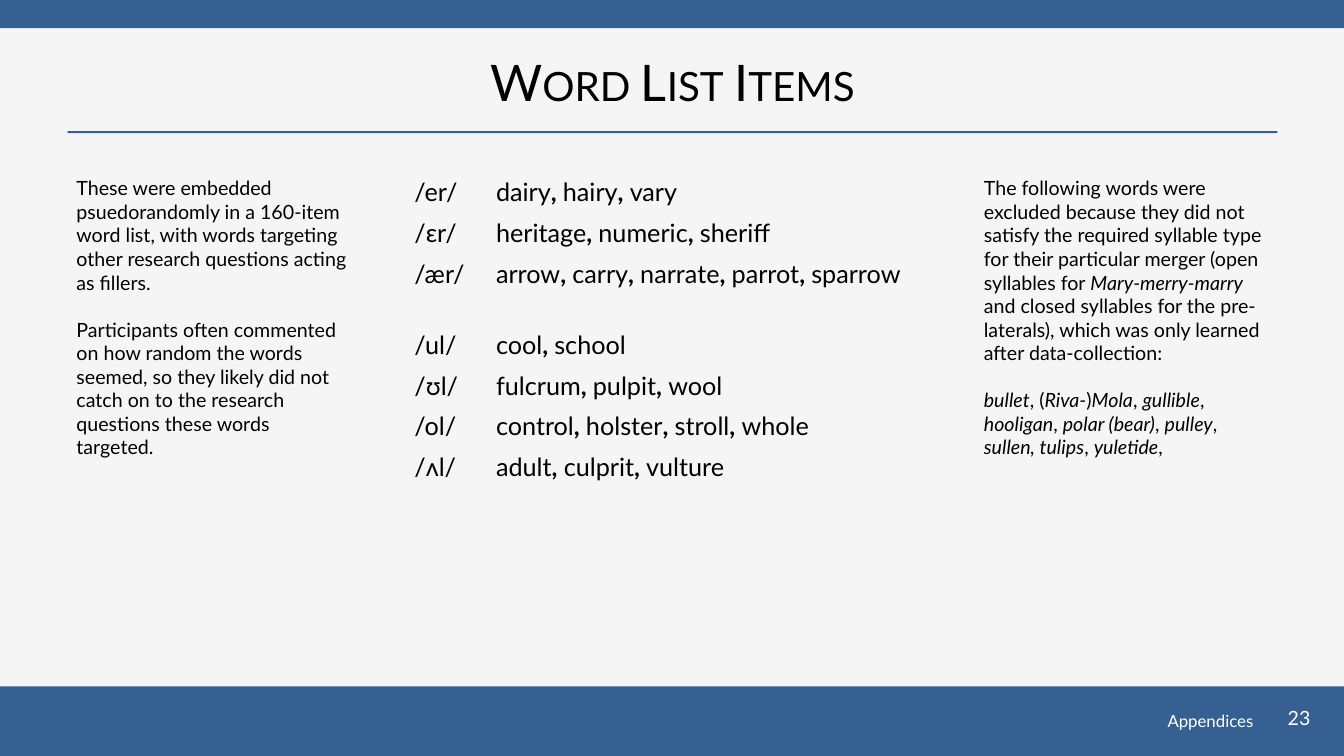
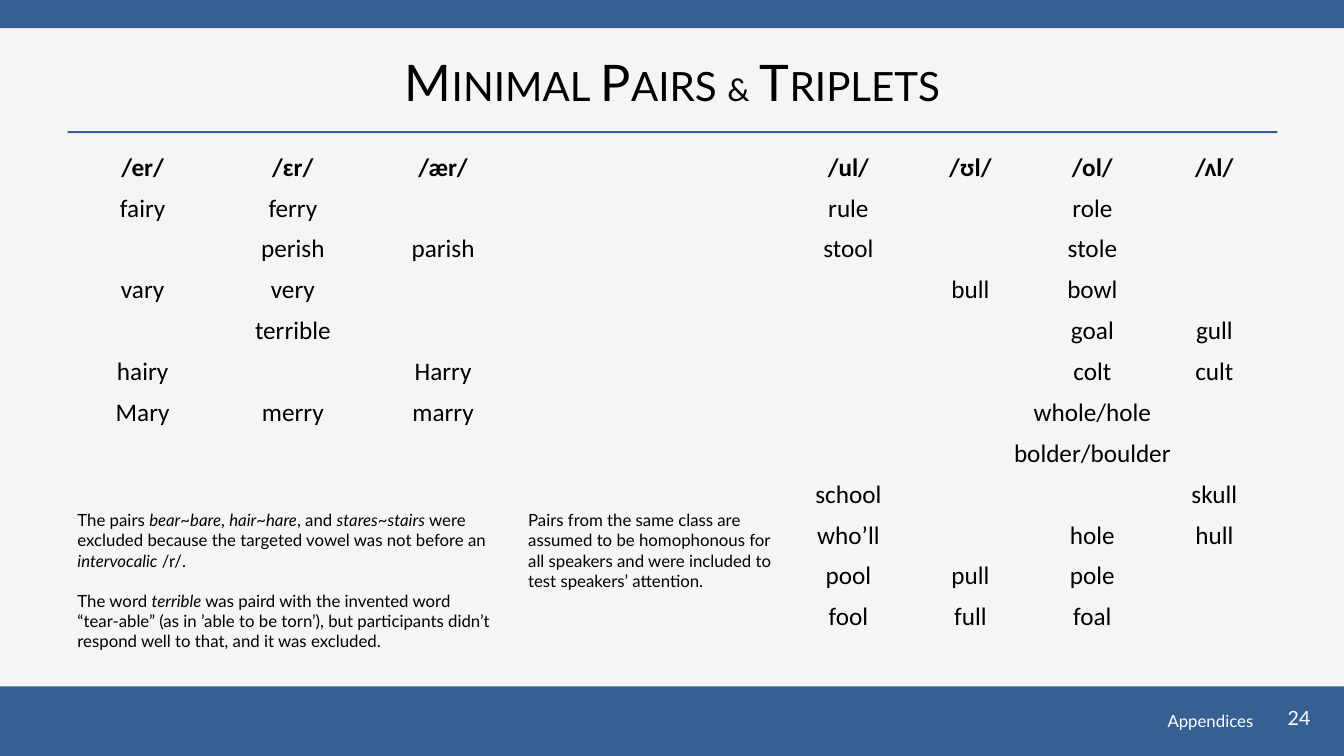
"""Build two appendix slides: a word list and its minimal pairs."""
import dataclasses

import pptx
import pptx.dml.color
import pptx.enum.shapes
import pptx.enum.text
import pptx.oxml.ns
import pptx.util

Inches = pptx.util.Inches
Pt = pptx.util.Pt
RGB = pptx.dml.color.RGBColor
Align = pptx.enum.text.PP_ALIGN
Anchor = pptx.enum.text.MSO_ANCHOR


@dataclasses.dataclass(frozen=True)
class Theme:
    """Colours, fonts and type sizes that the slides share."""
    paper: RGB = RGB(0xF5, 0xF5, 0xF5)
    blue: RGB = RGB(0x37, 0x60, 0x92)
    ink: RGB = RGB(0, 0, 0)
    white: RGB = RGB(0xFF, 0xFF, 0xFF)
    face: str = "Lato"
    grid_face: str = "Calibri"
    title: int = 36
    joiner: int = 28
    cell: int = 18
    note: int = 14
    small: int = 12
    plain_grid: str = "{2D5ABB26-0587-4C30-8999-92F81FD0307C}"


THEME = Theme()
ITALIC = ("italic", True)
BOLD = ("bold", True)
ROW = 4.87 / 12

BANDS = [(0, 6.81, 13.33, 0.69), (0, 0, 13.33, 0.28), (0.67, 1.3, 12, 0.02)]

WORDS = [
    ("/er/", "dairy hairy vary"),
    ("/ɛr/", "heritage numeric sheriff"),
    ("/ær/", "arrow carry narrate parrot sparrow"),
    ("/ul/", "cool school"),
    ("/ʊl/", "fulcrum pulpit wool"),
    ("/ol/", "control holster stroll whole"),
    ("/ʌl/", "adult culprit vulture"),
]

FRONT = [
    ("/er/", "/ɛr/", "/ær/"),
    ("fairy", "ferry", ""),
    ("", "perish", "parish"),
    ("vary", "very", ""),
    ("", "terrible", ""),
    ("hairy", "", "Harry"),
    ("Mary", "merry", "marry"),
]

LATERAL = [
    ("/ul/", "/ʊl/", "/ol/", "/ʌl/"),
    ("rule", "", "role", ""),
    ("stool", "", "stole", ""),
    ("", "bull", "bowl", ""),
    ("", "", "goal", "gull"),
    ("", "", "colt", "cult"),
    ("", "whole/hole", "", ""),
    ("", "bolder/boulder", "", ""),
    ("school", "", "", "skull"),
    ("who’ll", "", "hole", "hull"),
    ("pool", "pull", "pole", ""),
    ("fool", "full", "foal", ""),
]

FILLERS = [
    "These were embedded psuedorandomly in a 160-item word list, with words "
    "targeting other research questions acting as fillers.",
    "Participants often commented on how random the words seemed, so they "
    "likely did not catch on to the research questions these words targeted.",
]

DROPPED = [
    "The following words were excluded because they did not satisfy the "
    "required syllable type for their particular merger (open syllables for "
    "*Mary-merry-marry* and closed syllables for the pre-laterals), which was "
    "only learned after data-collection:",
    "*bullet*, (*Riva-*)*Mola*, *gullible*,* hooligan*, *polar (bear)*, "
    "*pulley*, *sullen, tulips*, *yuletide*,",
]

PAIRS = [
    "The pairs *bear~bare*, *hair~hare*, and *stares~stairs* were excluded "
    "because the targeted vowel was not before an *intervocalic* /r/.",
    "The word *terrible* was paird with the invented word “tear-able” (as in "
    "’able to be torn’), but participants didn’t respond well to that, and it "
    "was excluded.",
]

SAME = [
    "Pairs from the same class are assumed to be homophonous for all speakers "
    "and were included to test speakers’ attention.",
]


def place(box):
    """Turn a box in inches into lengths."""
    return [Inches(side) for side in box]


def write(para, text, size, color=THEME.ink, face=THEME.face,
          align=Align.LEFT, mark=ITALIC):
    """Write text in a paragraph, with the parts between stars marked."""
    para.alignment = align
    para.font.name = face
    para.font.size = Pt(size)
    para.font.color.rgb = color
    for index, part in enumerate(text.split("*")):
        if part:
            run = para.add_run()
            run.text = part
            if index % 2:
                setattr(run.font, *mark)


def add_text(slide, box, texts, size, anchor=Anchor.TOP, **style):
    """Add a text box whose paragraphs stand one line apart."""
    frame = slide.shapes.add_textbox(*place(box)).text_frame
    frame.word_wrap = True
    frame.vertical_anchor = anchor
    for index, text in enumerate(texts):
        para = frame.add_paragraph() if index else frame.paragraphs[0]
        if index:
            para.space_before = Pt(size * 1.2)
        write(para, text, size, **style)


def add_band(slide, box):
    """Add a plain blue band."""
    band = slide.shapes.add_shape(
        pptx.enum.shapes.MSO_SHAPE.RECTANGLE, *place(box))
    band.shadow.inherit = False
    band.fill.solid()
    band.fill.fore_color.rgb = THEME.blue
    band.line.fill.background()


def add_title(slide, text):
    """Fill the title placeholder in small capitals."""
    title = slide.shapes.title
    title.left, title.top, title.width, title.height = place(
        (0.67, 0.31, 12, 0.99))
    frame = title.text_frame
    frame.vertical_anchor = Anchor.MIDDLE
    para = frame.paragraphs[0]
    write(para, text, THEME.title, align=Align.CENTER,
          mark=("size", Pt(THEME.joiner)))
    for run in para.runs:
        run._r.get_or_add_rPr().set("cap", "small")


def add_slide(deck, title, number):
    """Add a slide with its bands, title and footer."""
    slide = deck.slides.add_slide(deck.slide_layouts[5])
    for box in BANDS:
        add_band(slide, box)
    add_title(slide, title)
    add_text(slide, (12.53, 6.95, 0.71, 0.4), [str(number)], THEME.note,
             color=THEME.white, align=Align.CENTER)
    add_text(slide, (8.03, 6.95, 4.5, 0.4), ["Appendices"], THEME.small,
             Anchor.MIDDLE, color=THEME.white, align=Align.RIGHT)
    return slide


def add_grid(slide, left, top, widths, rows):
    """Add an empty table without lines or bands."""
    frame = slide.shapes.add_table(
        len(rows), len(widths),
        *place((left, top, sum(widths), ROW * len(rows))))
    table = frame.table
    table.first_row = table.horz_banding = False
    for style in table._tbl.iter(pptx.oxml.ns.qn("a:tableStyleId")):
        style.text = THEME.plain_grid
    for column, width in zip(table.columns, widths):
        column.width = Inches(width)
    for row in table.rows:
        row.height = Inches(ROW)
        for cell in row.cells:
            cell.fill.background()
    return table


def add_words(slide):
    """Add the word list, with a gap between its two groups."""
    table = add_grid(slide, 4.01, 1.7, (0.81, 4.37), WORDS)
    table.rows[2].height = Inches(ROW + 0.3)
    for index, (sound, words) in enumerate(WORDS):
        texts = (sound, "*, *".join(words.split()))
        for cell, text in zip(table.rows[index].cells, texts):
            write(cell.text_frame.paragraphs[0], text, THEME.cell, mark=BOLD)


def add_pairs(slide, left, width, rows):
    """Add a centred table of pairs under bold sounds."""
    table = add_grid(slide, left, 1.46, [width] * len(rows[0]), rows)
    for index, texts in enumerate(rows):
        if "/" in texts[1] and index:
            table.cell(index, 1).merge(table.cell(index, len(texts) - 1))
        for cell, text in zip(table.rows[index].cells, texts):
            para = cell.text_frame.paragraphs[0]
            if text:
                write(para, text, THEME.cell, face=THEME.grid_face,
                      align=Align.CENTER)
                para.font.bold = index == 0


def main():
    """Build the slides and save them."""
    deck = pptx.Presentation()
    deck.slide_width, deck.slide_height = Inches(13.33), Inches(7.5)
    paper = deck.slide_master.background.fill
    paper.solid()
    paper.fore_color.rgb = THEME.paper

    slide = add_slide(deck, "Word List Items", 23)
    add_words(slide)
    add_text(slide, (0.66, 1.7, 2.88, 2.93), FILLERS, THEME.note)
    add_text(slide, (9.66, 1.7, 3.01, 2.93), DROPPED, THEME.note)

    slide = add_slide(deck, "Minimal Pairs *&* Triplets", 24)
    add_pairs(slide, 7.81, 1.21, LATERAL)
    add_pairs(slide, 0.67, 1.49, FRONT)
    add_text(slide, (0.67, 5.01, 4.32, 1.51), PAIRS, THEME.small)
    add_text(slide, (5.14, 5.01, 2.68, 1.11), SAME, THEME.small)

    deck.save("out.pptx")


if __name__ == "__main__":
    main()
